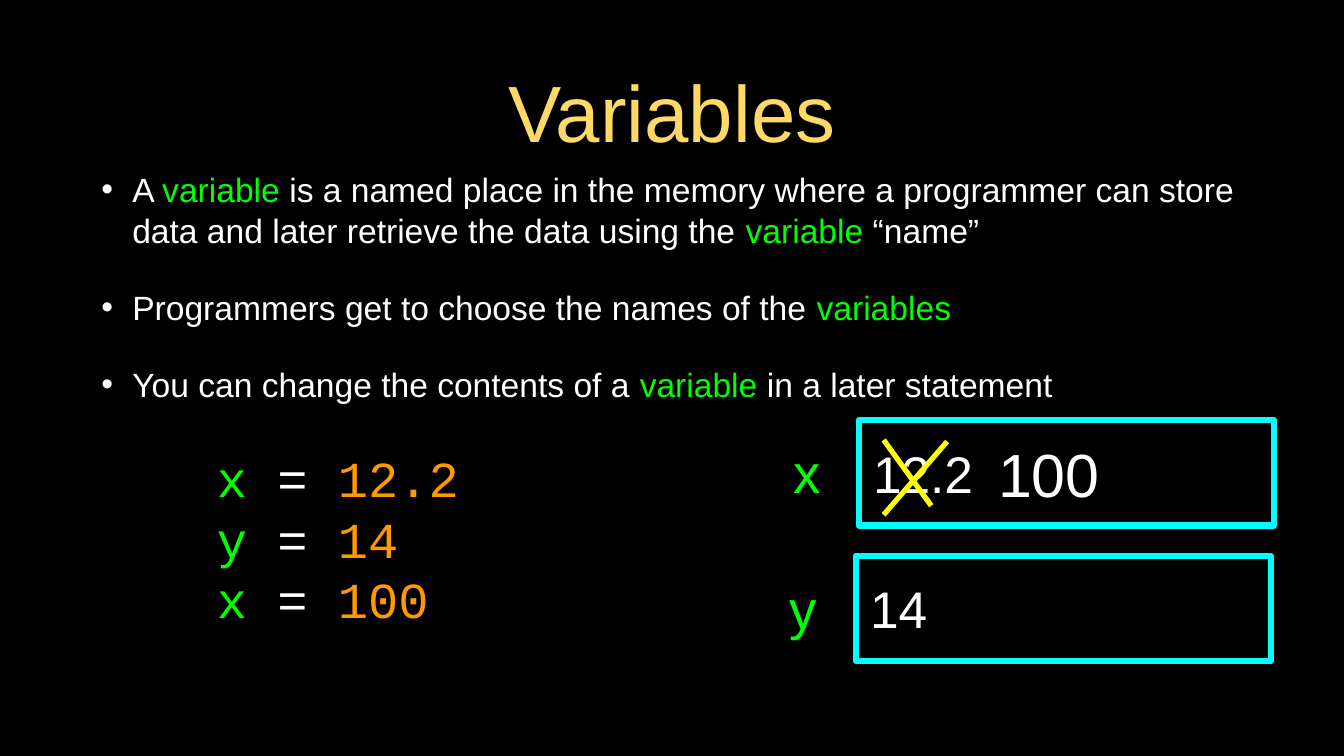
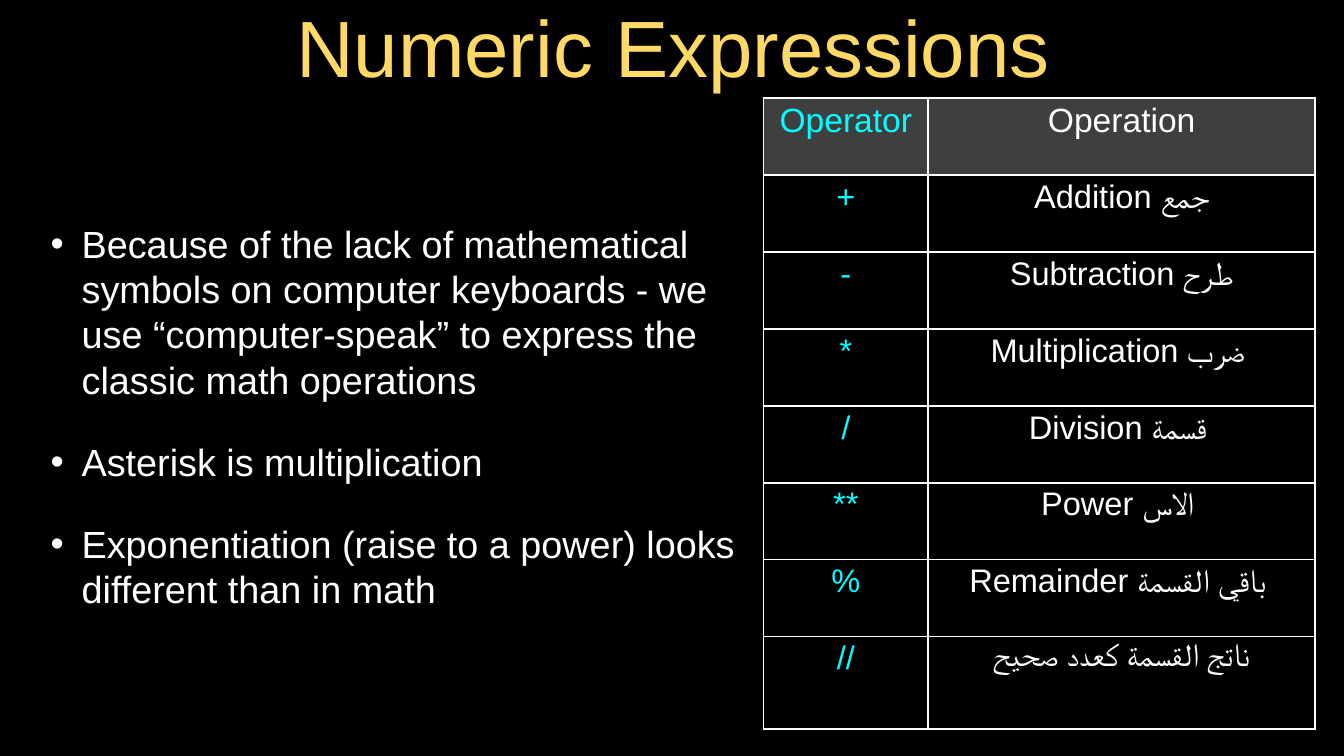
from lxml.etree import SubElement
from pptx import Presentation
from pptx.dml.color import RGBColor
from pptx.enum.shapes import MSO_CONNECTOR, MSO_SHAPE
from pptx.enum.text import MSO_ANCHOR, MSO_AUTO_SIZE, PP_ALIGN
from pptx.oxml.ns import qn
from pptx.util import Emu, Pt

# Shared look: 100 px to the inch
PX = 9144
SLIDE_SIZE = (1778, 1000)
BOTTOM_BAND = (0, 914, 1778, 86)
BLACK, WHITE, GOLD, GRAY = "000000", "FFFFFF", "FFD966", "7F7F7F"
GREEN, ORANGE, CYAN, YELLOW = "00FF00", "FF9900", "00FFFF", "FFFF00"
SANS, MONO = "Arial", "Courier New"
TITLE_WIDTH, TITLE_HEIGHT = 1600, 121

# Content of "Variables": a paragraph is a list of (text, colour) runs
VARIABLE_POINTS = [
    [("A ", WHITE), ("variable", GREEN),
     (" is a named place in the memory where a programmer can store data "
      "and later retrieve the data using the ", WHITE),
     ("variable", GREEN), (" “name”", WHITE)],
    [("Programmers get to choose the names of the ", WHITE), ("variables", GREEN)],
    [("You can change the contents of a ", WHITE), ("variable ", GREEN),
     ("in a later statement", WHITE)],
]
ASSIGNMENTS = [("x", "12.2"), ("y", "14"), ("x", "100")]
# name, first value, box left and top, label left, top and width
MEMORY_CELLS = [
    ("x", "12.2", (1136, 556), (1043, 577, 49)),
    ("y", "14", (1132, 735), (1041, 757, 44)),
]
CELL_WIDTH, CELL_HEIGHT, LABEL_HEIGHT = 549, 139, 94
CROSS_STROKES = [(1253, 584, 1169, 681), (1169, 582, 1232, 669)]

# Content of "Numeric Expressions"
EXPRESSION_POINTS = [
    "Because of the lack of mathematical symbols on computer keyboards - we use "
    "“computer-speak” to express the classic math operations",
    "Asterisk is multiplication",
    "Exponentiation (raise to a power) looks different than in math",
]
OPERATORS = [
    ("Operator", "Operation"),
    ("+", "Addition جمع"),
    ("-", "Subtraction طرح"),
    ("*", "Multiplication ضرب "),
    ("/", "Division قسمة "),
    ("**", "Power الاس "),
    ("%", "Remainder باقي القسمة "),
    ("//", "ناتج القسمة كعدد صحيح"),
]
COLUMN_WIDTHS = [218, 512]
TABLE_HEIGHT, LAST_ROW_HEIGHT = 834, 122


def px(*lengths):
    return [Emu(round(length * PX)) for length in lengths]


def color(hex_value):
    return RGBColor.from_string(hex_value)


def add_bullet(paragraph):
    properties = paragraph._p.get_or_add_pPr()
    properties.set("marL", str(82 * PX))
    properties.set("indent", str(-41 * PX))
    bullet_color = SubElement(properties, qn("a:buClr"))
    SubElement(bullet_color, qn("a:srgbClr"), val=WHITE)
    SubElement(properties, qn("a:buFont"), typeface=SANS)
    SubElement(properties, qn("a:buChar"), char="•")


def write(frame, paragraphs, size, font=SANS, align=PP_ALIGN.LEFT, inset=0,
          left_inset=None, bullets=False, space_before=0):
    """Fill a text frame with paragraphs, each a list of (text, colour) runs."""
    frame.word_wrap = True
    frame.auto_size = MSO_AUTO_SIZE.NONE
    frame.vertical_anchor = MSO_ANCHOR.MIDDLE
    left = inset if left_inset is None else left_inset
    (frame.margin_left, frame.margin_top,
     frame.margin_right, frame.margin_bottom) = px(left, inset, inset, inset)
    for index, runs in enumerate(paragraphs):
        paragraph = frame.add_paragraph() if index else frame.paragraphs[0]
        paragraph.alignment = align
        if index and space_before:
            paragraph.space_before = Pt(space_before)
        if bullets:
            add_bullet(paragraph)
        for text, text_color in runs:
            run = paragraph.add_run()
            run.text = text
            run.font.size = Pt(size)
            run.font.name = font
            run.font.color.rgb = color(text_color)


def add_text(slide, box, paragraphs, size, **text_format):
    write(slide.shapes.add_textbox(*px(*box)).text_frame, paragraphs, size, **text_format)


def add_points(slide, box, points, size):
    add_text(slide, box, points, size, inset=4, bullets=True, space_before=35)


def add_rectangle(slide, box):
    rectangle = slide.shapes.add_shape(MSO_SHAPE.RECTANGLE, *px(*box))
    rectangle.shadow.inherit = False
    return rectangle


def add_titled_slide(presentation, text, left, top):
    slide = presentation.slides.add_slide(presentation.slide_layouts[5])
    title = slide.shapes.title
    title.left, title.top, title.width, title.height = px(
        left, top, TITLE_WIDTH, TITLE_HEIGHT)
    write(title.text_frame, [[(text, GOLD)]], 76, align=PP_ALIGN.CENTER, inset=4)
    return slide


def move_band_to_master(presentation, slide):
    """Draw the bottom band, then hand it to the master so all slides share it."""
    band = add_rectangle(slide, BOTTOM_BAND)
    band.fill.solid()
    band.fill.fore_color.rgb = color(BLACK)
    band.line.fill.background()
    presentation.slide_master.shapes._spTree.insert(2, band._element)


def add_memory_cell(slide, name, value, corner, label):
    box = add_rectangle(slide, (*corner, CELL_WIDTH, CELL_HEIGHT))
    box.fill.background()
    box.line.color.rgb = color(CYAN)
    box.line.width = Pt(6)
    write(box.text_frame, [[(value, WHITE)]], 49, left_inset=19)
    add_text(slide, (*label, LABEL_HEIGHT), [[(name, GREEN)]], 52, align=PP_ALIGN.CENTER)


def add_stroke(slide, ends):
    stroke = slide.shapes.add_connector(MSO_CONNECTOR.STRAIGHT, *px(*ends))
    stroke.line.color.rgb = color(YELLOW)
    stroke.line.width = Pt(5)
    SubElement(stroke._element.spPr, qn("a:effectLst"))


def style_cell(cell, text, text_color, is_header):
    write(cell.text_frame, [[(text, text_color)]], 32 if is_header else 31,
          align=PP_ALIGN.CENTER)
    cell.vertical_anchor = MSO_ANCHOR.TOP
    cell.margin_left, cell.margin_right = px(4, 4)
    cell.margin_top, cell.margin_bottom = px(5, 5)
    properties = cell._tc.get_or_add_tcPr()
    for side in ("lnL", "lnR", "lnT", "lnB"):
        border = SubElement(properties, qn(f"a:{side}"), w=str(Pt(1.98)))
        fill = SubElement(border, qn("a:solidFill"))
        SubElement(fill, qn("a:srgbClr"), val=WHITE)
    if is_header:
        cell.fill.solid()
        cell.fill.fore_color.rgb = color(GRAY)
        fill_color = properties.find(f"{qn('a:solidFill')}/{qn('a:srgbClr')}")
        SubElement(fill_color, qn("a:alpha"), val="50000")
    else:
        cell.fill.background()


def add_operator_table(slide, left, top):
    even_rows = len(OPERATORS) - 1
    row_height = (TABLE_HEIGHT - LAST_ROW_HEIGHT) / even_rows
    heights = [row_height] * even_rows + [LAST_ROW_HEIGHT]
    table = slide.shapes.add_table(
        len(OPERATORS), len(COLUMN_WIDTHS),
        *px(left, top, sum(COLUMN_WIDTHS), TABLE_HEIGHT)).table
    table.first_row = table.horz_banding = False
    for column, width in zip(table.columns, px(*COLUMN_WIDTHS)):
        column.width = width
    for row_index, (row, height) in enumerate(zip(table.rows, px(*heights))):
        row.height = height
        for cell, text, text_color in zip(row.cells, OPERATORS[row_index], (CYAN, WHITE)):
            style_cell(cell, text, text_color, row_index == 0)


def build_variables(presentation):
    slide = add_titled_slide(presentation, "Variables", 89, 86)
    move_band_to_master(presentation, slide)
    add_points(slide, (89, 233, 1600, 292), VARIABLE_POINTS, 32)
    for memory_cell in MEMORY_CELLS:
        add_memory_cell(slide, *memory_cell)
    for ends in CROSS_STROKES:
        add_stroke(slide, ends)
    add_text(slide, (1296, 575, 183, 103), [[("100", WHITE)]], 58, align=PP_ALIGN.CENTER)
    code = [[(f"{name} ", GREEN), ("= ", WHITE), (value, ORANGE)]
            for name, value in ASSIGNMENTS]
    add_text(slide, (287, 581, 442, 261), code, 48, font=MONO)


def build_expressions(presentation):
    slide = add_titled_slide(presentation, "Numeric Expressions", 90, 0)
    points = [[(text, WHITE)] for text in EXPRESSION_POINTS]
    add_points(slide, (22, 220, 988, 660), points, 36)
    add_operator_table(slide, 1010, 130)


def main():
    presentation = Presentation()
    presentation.slide_width, presentation.slide_height = px(*SLIDE_SIZE)
    background = presentation.slide_master.background.fill
    background.solid()
    background.fore_color.rgb = color(BLACK)
    build_variables(presentation)
    build_expressions(presentation)
    presentation.save("out.pptx")


if __name__ == "__main__":
    main()
